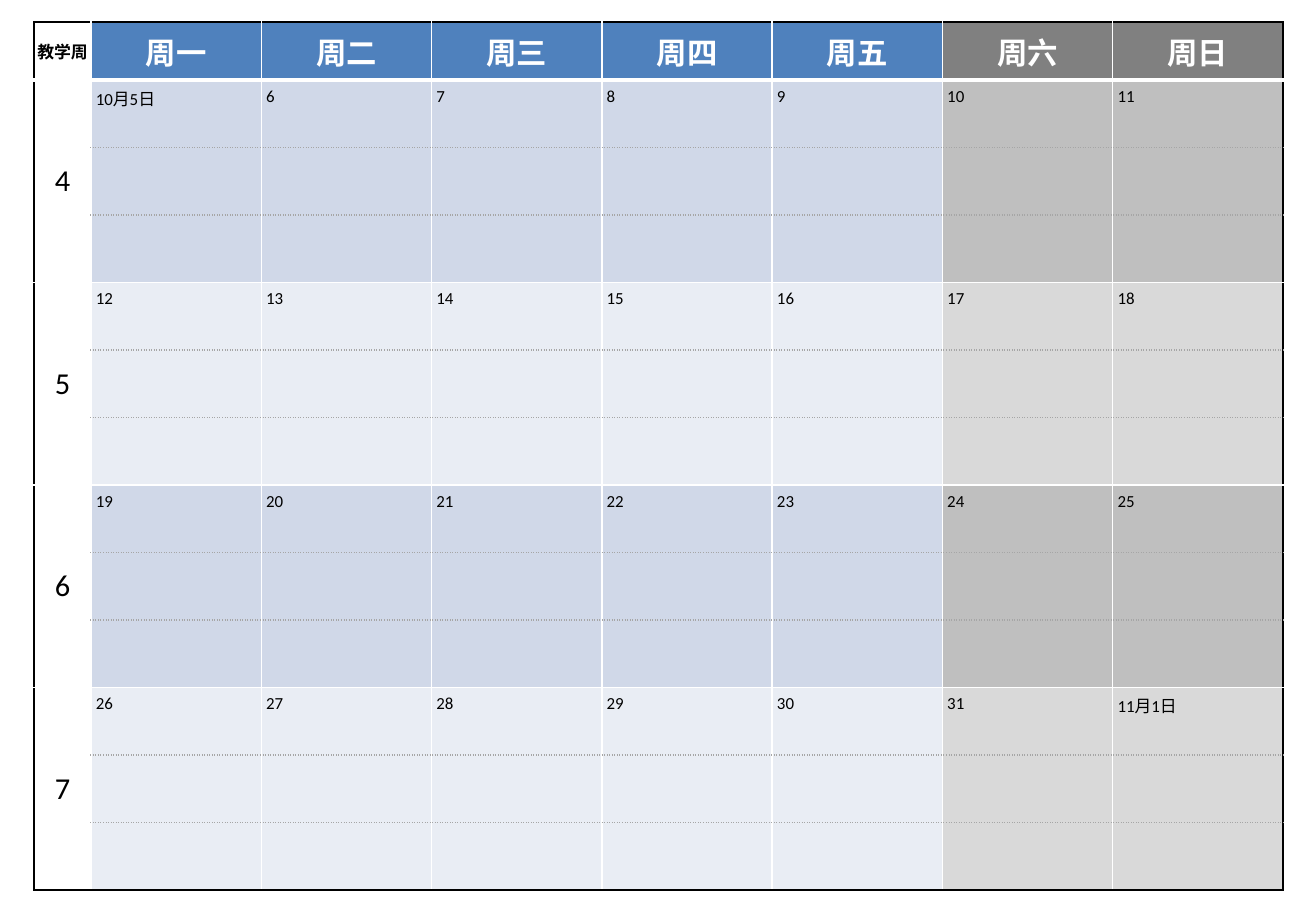
from lxml import etree
from pptx import Presentation
from pptx.dml.color import RGBColor
from pptx.enum.text import MSO_ANCHOR, PP_ALIGN
from pptx.oxml.ns import qn
from pptx.util import Inches, Pt

MIDDLE, TOP = MSO_ANCHOR.MIDDLE, MSO_ANCHOR.TOP
CENTER, LEFT = PP_ALIGN.CENTER, PP_ALIGN.LEFT

BLACK = RGBColor(0x00, 0x00, 0x00)
WHITE = RGBColor(0xFF, 0xFF, 0xFF)
DOT_GRAY = RGBColor(0xA6, 0xA6, 0xA6)
HEADER_BLUE = RGBColor(0x4F, 0x81, 0xBD)
HEADER_GRAY = RGBColor(0x80, 0x80, 0x80)
WEEKDAY_FILLS = (RGBColor(0xD0, 0xD8, 0xE8), RGBColor(0xE9, 0xED, 0xF4))
WEEKEND_FILLS = (RGBColor(0xBF, 0xBF, 0xBF), RGBColor(0xD9, 0xD9, 0xD9))

BLACK_LINE = (BLACK, 1, "solid")
WHITE_LINE = (WHITE, 1, "solid")
HEADER_LINE = (WHITE, 3, "solid")
DOTTED_LINE = (DOT_GRAY, 1, "sysDot")

FONT = "Calibri"
WEEKDAYS = ("周一", "周二", "周三", "周四", "周五", "周六", "周日")
SATURDAY = 6
FIRST_WEEK, WEEK_COUNT, ROWS_PER_WEEK = 4, 4, 3
FIRST_DAY, DAYS_IN_OCTOBER = 5, 31
TABLE_WIDTH, TABLE_HEIGHT = 10.28, 7.15
WEEK_WIDTH, HEADER_HEIGHT = 0.47, 0.48


def date_label(week, weekday):
    """Return the day number, with the month where a month is introduced."""
    day = FIRST_DAY + 7 * week + weekday
    if day > DAYS_IN_OCTOBER:
        return f"11月{day - DAYS_IN_OCTOBER}日"
    return f"10月{day}日" if day == FIRST_DAY else str(day)


def set_borders(cell, **lines):
    """Draw the given cell sides, each a colour, a width and a dash."""
    properties = cell._tc.get_or_add_tcPr()
    for side in "LRTB":
        if side not in lines:
            continue
        color, width, dash = lines[side]
        line = etree.SubElement(properties, qn(f"a:ln{side}"), w=str(Pt(width)))
        fill = etree.SubElement(line, qn("a:solidFill"))
        etree.SubElement(fill, qn("a:srgbClr"), val=str(color))
        etree.SubElement(line, qn("a:prstDash"), val=dash)


def style_cell(cell, column, fill, top, bottom):
    """Give a cell its borders and its fill."""
    lines = {"T": top, "B": bottom}
    if column != 1:
        lines["L"] = WHITE_LINE if column else BLACK_LINE
    if column:
        lines["R"] = BLACK_LINE if column == len(WEEKDAYS) else WHITE_LINE
    set_borders(cell, **lines)
    cell.fill.solid()
    cell.fill.fore_color.rgb = fill


def write_cell(cell, text, size, color=BLACK, bold=False, centered=True):
    """Write a centred label or a date in the top left corner."""
    cell.margin_left = cell.margin_right = Inches(0 if centered else 0.04)
    cell.margin_top = cell.margin_bottom = Inches(0 if centered else 0.05)
    cell.vertical_anchor = MIDDLE if centered else TOP
    paragraph = cell.text_frame.paragraphs[0]
    paragraph.text = text
    paragraph.alignment = CENTER if centered else LEFT
    font = paragraph.font
    font.name, font.size, font.bold = FONT, Pt(size), bold
    font.color.rgb = color


def add_calendar_table(slide):
    """Add the empty calendar grid."""
    row_count = 1 + WEEK_COUNT * ROWS_PER_WEEK
    table = slide.shapes.add_table(
        row_count, 1 + len(WEEKDAYS), Inches(0.28), Inches(0.18),
        Inches(TABLE_WIDTH), Inches(TABLE_HEIGHT)).table
    table.first_row = table.horz_banding = False
    for column in table.columns:
        column.width = Inches((TABLE_WIDTH - WEEK_WIDTH) / len(WEEKDAYS))
    for row in table.rows:
        row.height = Inches((TABLE_HEIGHT - HEADER_HEIGHT) / (row_count - 1))
    table.columns[0].width = Inches(WEEK_WIDTH)
    table.rows[0].height = Inches(HEADER_HEIGHT)
    return table


def fill_header(table):
    """Fill the row of weekday names."""
    for column, label in enumerate(("教学周", *WEEKDAYS)):
        cell = table.cell(0, column)
        fill = HEADER_GRAY if column >= SATURDAY else HEADER_BLUE
        style_cell(cell, column, fill if column else WHITE, BLACK_LINE, HEADER_LINE)
        write_cell(cell, label, 18 if column else 10, WHITE if column else BLACK, True)


def fill_week(table, week):
    """Fill the week number, the dates and the dotted rows of one week."""
    first_row = 1 + week * ROWS_PER_WEEK
    last_row = first_row + ROWS_PER_WEEK - 1
    week_bottom = BLACK_LINE if week == WEEK_COUNT - 1 else WHITE_LINE
    week_cell = table.cell(first_row, 0)
    week_cell.merge(table.cell(last_row, 0))
    for row in range(first_row, last_row + 1):
        style_cell(table.cell(row, 0), 0, WHITE, WHITE_LINE, week_bottom)
        top = WHITE_LINE if row == first_row else DOTTED_LINE
        bottom = week_bottom if row == last_row else DOTTED_LINE
        for column in range(1, 1 + len(WEEKDAYS)):
            fills = WEEKEND_FILLS if column >= SATURDAY else WEEKDAY_FILLS
            style_cell(table.cell(row, column), column, fills[week % 2], top, bottom)
    write_cell(week_cell, str(FIRST_WEEK + week), 18)
    for weekday in range(len(WEEKDAYS)):
        cell = table.cell(first_row, weekday + 1)
        write_cell(cell, date_label(week, weekday), 10, centered=False)


def main():
    """Build the teaching calendar slide."""
    presentation = Presentation()
    presentation.slide_width = Inches(10.83)
    presentation.slide_height = Inches(7.5)
    slide = presentation.slides.add_slide(presentation.slide_layouts[6])
    table = add_calendar_table(slide)
    fill_header(table)
    for week in range(WEEK_COUNT):
        fill_week(table, week)
    presentation.save("out.pptx")


if __name__ == "__main__":
    main()
